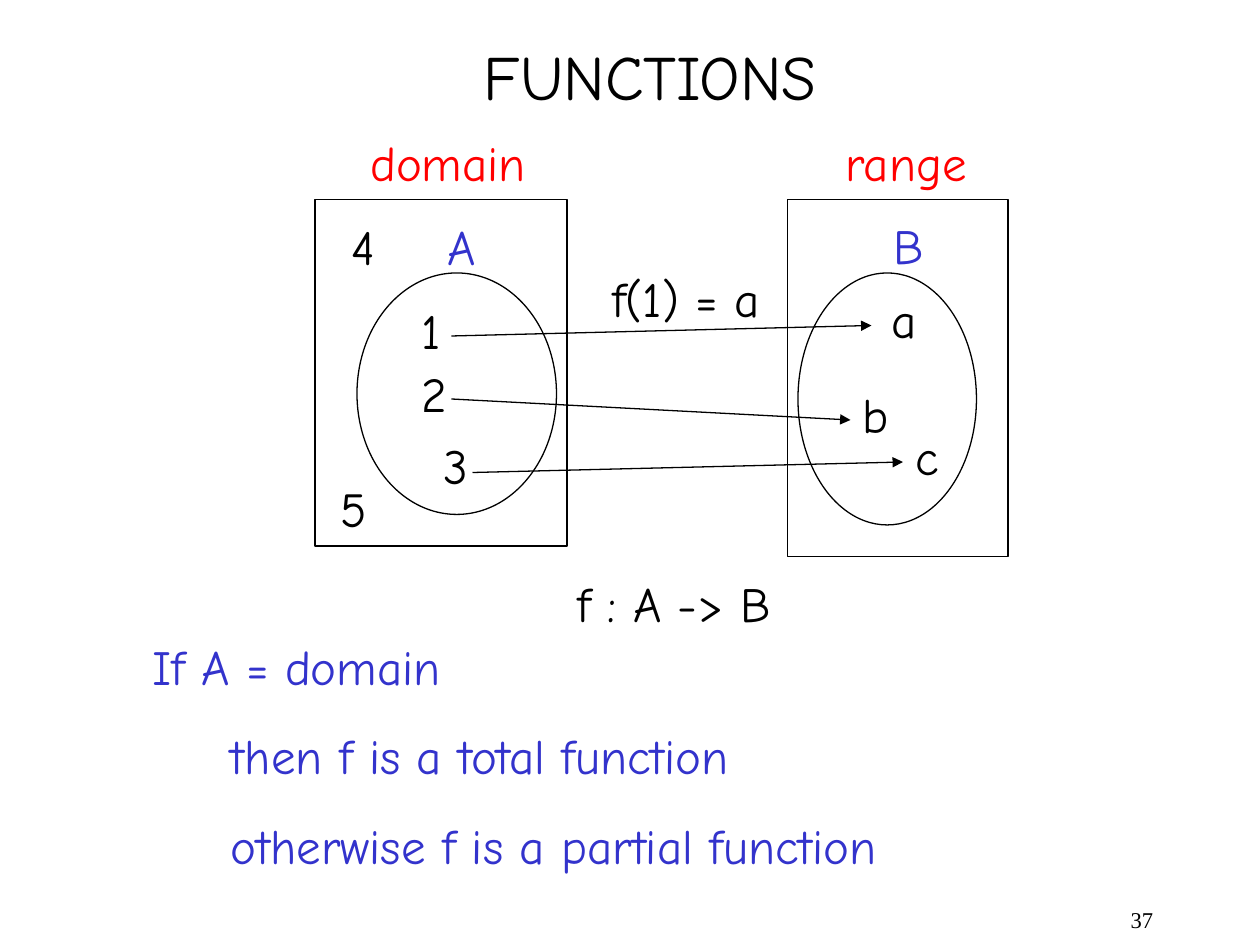
from dataclasses import dataclass

from lxml.etree import SubElement
from pptx import Presentation
from pptx.dml.color import RGBColor
from pptx.enum.shapes import MSO_CONNECTOR as Connector, MSO_SHAPE as Preset
from pptx.enum.text import MSO_ANCHOR as Anchor, MSO_AUTO_SIZE as AutoSize, PP_ALIGN as Align
from pptx.oxml.ns import qn
from pptx.slide import Slide
from pptx.text.text import TextFrame, _Paragraph as Paragraph
from pptx.util import Pt


@dataclass(frozen=True)
class Theme:
    """Colours, fonts and type sizes of the slide."""

    black: RGBColor = RGBColor(0x00, 0x00, 0x00)
    red: RGBColor = RGBColor(0xFF, 0x00, 0x00)
    blue: RGBColor = RGBColor(0x33, 0x33, 0xCC)
    font: str = "Comic Neue"
    number_font: str = "Times New Roman"
    title_size: float = 36
    body_size: float = 28
    number_size: float = 12.9
    line_width: float = 0.75


THEME = Theme()


@dataclass(frozen=True)
class Label:
    """A one-line text with its box, in points."""

    text: str
    left: float
    top: float
    width: float
    color: RGBColor = THEME.black
    height: float = 41


@dataclass(frozen=True)
class Outline:
    """An unfilled preset shape, in points."""

    preset: Preset
    left: float
    top: float
    width: float
    height: float


@dataclass(frozen=True)
class Mapping:
    """An arrow from a domain element to a range element, in points."""

    start_x: float
    start_y: float
    end_x: float
    end_y: float


OUTLINES = [
    Outline(Preset.RECTANGLE, 180, 114, 144, 198),
    Outline(Preset.RECTANGLE, 450, 114, 126, 204),
    Outline(Preset.OVAL, 204, 156, 114, 138),
    Outline(Preset.OVAL, 456, 156, 102, 144),
]

MAPPINGS = [
    Mapping(258, 192, 498, 186),
    Mapping(258, 228, 486, 240),
    Mapping(270, 270, 516, 264),
]

LABELS = [
    Label("domain", 204.5, 72, 103, THEME.red),
    Label("range", 476, 72, 84, THEME.red),
    Label("A", 248.4, 120, 30.2, THEME.blue),
    Label("B", 503.3, 119.5, 31.7, THEME.blue),
    Label("1", 234, 168, 25.2),
    Label("2", 234, 204, 28.8),
    Label("3", 246.2, 245.5, 28.1),
    Label("4", 193.7, 120, 28.1),
    Label("5", 187.2, 270, 29.5),
    Label("a", 502.6, 162, 28.8),
    Label("b", 486, 216, 29.5),
    Label("c", 516.2, 240, 27.4),
    Label("f(1) = a", 342.7, 150, 99.4),
    Label("f : A -> B", 323.2, 324, 134.7),
]

CONCLUSIONS = [
    ("If A = domain", 0),
    ("then f is a total function", 45),
    ("otherwise f is a partial function", 45),
]


def add_run(paragraph: Paragraph, text: str, size: float, color: RGBColor,
            font_name: str = THEME.font) -> None:
    """Append a formatted run to a paragraph."""
    run = paragraph.add_run()
    run.text = text
    run.font.name = font_name
    run.font.size = Pt(size)
    run.font.color.rgb = color


def set_frame(frame: TextFrame, wrap: bool = False) -> None:
    """Anchor a text frame at the top with fixed size."""
    frame.word_wrap = wrap
    frame.auto_size = AutoSize.NONE
    frame.vertical_anchor = Anchor.TOP


def add_frame(slide: Slide, left: float, top: float, width: float, height: float,
              wrap: bool = False) -> TextFrame:
    """Add a text box and return its frame."""
    frame = slide.shapes.add_textbox(Pt(left), Pt(top), Pt(width), Pt(height)).text_frame
    set_frame(frame, wrap)
    return frame


def add_title(slide: Slide) -> None:
    """Place and fill the title placeholder."""
    title = slide.shapes.title
    title.left, title.top, title.width, title.height = Pt(269.3), Pt(18), Pt(205.2), Pt(50.4)
    set_frame(title.text_frame)
    paragraph = title.text_frame.paragraphs[0]
    paragraph.alignment = Align.LEFT
    add_run(paragraph, "FUNCTIONS", THEME.title_size, THEME.black)


def add_outline(slide: Slide, outline: Outline) -> None:
    """Draw an unfilled shape with a thin black line."""
    shape = slide.shapes.add_shape(outline.preset, Pt(outline.left), Pt(outline.top),
                                   Pt(outline.width), Pt(outline.height))
    shape.shadow.inherit = False
    shape.fill.background()
    shape.line.color.rgb = THEME.black
    shape.line.width = Pt(THEME.line_width)


def add_mapping(slide: Slide, mapping: Mapping) -> None:
    """Draw a mapping arrow."""
    arrow = slide.shapes.add_connector(Connector.STRAIGHT, Pt(mapping.start_x), Pt(mapping.start_y),
                                       Pt(mapping.end_x), Pt(mapping.end_y))
    arrow.line.color.rgb = THEME.black
    arrow.line.width = Pt(THEME.line_width)
    SubElement(arrow.line._get_or_add_ln(), qn("a:tailEnd"), type="triangle")
    SubElement(arrow._element.spPr, qn("a:effectLst"))


def add_label(slide: Slide, label: Label) -> None:
    """Write a label of the diagram."""
    frame = add_frame(slide, label.left, label.top, label.width, label.height)
    add_run(frame.paragraphs[0], label.text, THEME.body_size, label.color)


def add_conclusions(slide: Slide) -> None:
    """Write the total and partial function statements."""
    frame = add_frame(slide, 79.9, 360, 440, 143.3)
    for index, (text, indent) in enumerate(CONCLUSIONS):
        paragraph = frame.add_paragraph() if index else frame.paragraphs[0]
        paragraph.space_before = Pt(17.5 if index else 0)
        paragraph._p.get_or_add_pPr().set("marL", str(Pt(indent)))
        add_run(paragraph, text, THEME.body_size, THEME.blue)


def add_page_number(slide: Slide) -> None:
    """Write the page number at the lower right."""
    paragraph = add_frame(slide, 516.2, 516.2, 149.8, 23.8, wrap=True).paragraphs[0]
    paragraph.alignment = Align.RIGHT
    paragraph.line_spacing = 0.9
    add_run(paragraph, "37", THEME.number_size, THEME.black, THEME.number_font)


def main() -> None:
    """Build and save the slide."""
    presentation = Presentation()
    presentation.slide_width, presentation.slide_height = Pt(720), Pt(540)
    slide = presentation.slides.add_slide(presentation.slide_layouts[5])
    add_title(slide)
    for outline in OUTLINES:
        add_outline(slide, outline)
    for mapping in MAPPINGS:
        add_mapping(slide, mapping)
    for label in LABELS:
        add_label(slide, label)
    add_conclusions(slide)
    add_page_number(slide)
    presentation.save("out.pptx")


if __name__ == "__main__":
    main()
